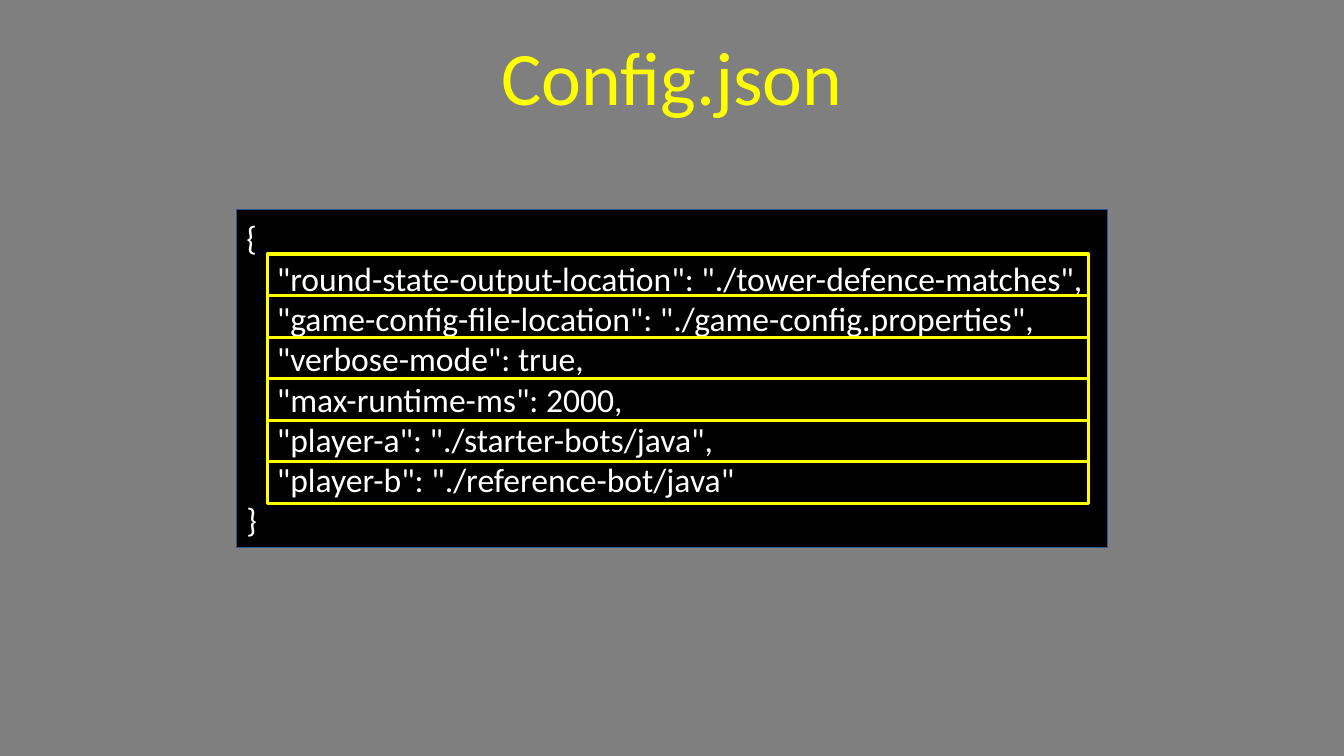
"""Build the Config.json slide with each setting framed inside a code panel."""
from dataclasses import dataclass

from pptx import Presentation
from pptx.dml.color import RGBColor
from pptx.enum.shapes import MSO_SHAPE
from pptx.enum.text import MSO_ANCHOR, MSO_AUTO_SIZE, PP_ALIGN
from pptx.shapes.autoshape import Shape
from pptx.slide import Slide
from pptx.text.text import _Paragraph as Paragraph
from pptx.util import Inches, Pt

WIDTH, HEIGHT = Inches(13.33), Inches(7.5)
FONT = "Calibri"
COLOURS = {
    "backdrop": "7F7F7F",
    "panel": "000000",
    "panel_edge": "325491",
    "code": "FFFFFF",
    "accent": "FFFF00",
}
SETTINGS = [
    '"round-state-output-location": "./tower-defence-matches",',
    '"game-config-file-location": "./game-config.properties",',
    '"verbose-mode": true,',
    '"max-runtime-ms": 2000,',
    '"player-a": "./starter-bots/java",',
    '"player-b": "./reference-bot/java"',
]
CODE_LINES = ["{", *("    " + setting for setting in SETTINGS), "}"]


@dataclass(frozen=True)
class Area:
    """Place and size as percentages of the slide."""

    left: float
    top: float
    width: float
    height: float

    def place(self, shape: Shape) -> None:
        """Move and size a shape to fill this area."""
        shape.left = round(WIDTH * self.left / 100)
        shape.top = round(HEIGHT * self.top / 100)
        shape.width = round(WIDTH * self.width / 100)
        shape.height = round(HEIGHT * self.height / 100)

    def row(self, index: int) -> "Area":
        """Return the equal area a number of rows further down."""
        return Area(self.left, self.top + index * self.height, self.width, self.height)


TITLE_AREA = Area(2.55, 4.9, 94.9, 11.7)
PANEL_AREA = Area(17.6, 27.7, 64.8, 44.7)
FIRST_SETTING_AREA = Area(19.9, 33.6, 61.1, 5.5)


def colour(name: str) -> RGBColor:
    """Look up a named colour."""
    return RGBColor.from_string(COLOURS[name])


def add_span(para: Paragraph, text: str, size: float, colour_name: str) -> None:
    """Add one formatted run to a paragraph."""
    span = para.add_run()
    span.text = text
    span.font.name = FONT
    span.font.size = Pt(size)
    span.font.color.rgb = colour(colour_name)


def add_box(page: Slide, area: Area, edge: str, weight: float, fill: str = "") -> Shape:
    """Add an outlined rectangle, hollow unless a fill is named."""
    box = page.shapes.add_shape(MSO_SHAPE.RECTANGLE, 0, 0, 0, 0)
    area.place(box)
    box.shadow.inherit = False
    box.line.color.rgb = colour(edge)
    box.line.width = Pt(weight)
    if fill:
        box.fill.solid()
        box.fill.fore_color.rgb = colour(fill)
    else:
        box.fill.background()
    return box


def add_title(page: Slide, text: str) -> None:
    """Format the title placeholder."""
    title = page.shapes.title
    TITLE_AREA.place(title)
    frame = title.text_frame
    frame.word_wrap = True
    frame.auto_size = MSO_AUTO_SIZE.NONE
    frame.vertical_anchor = MSO_ANCHOR.MIDDLE
    para = frame.paragraphs[0]
    para.alignment = PP_ALIGN.CENTER
    para.line_spacing = 0.9
    add_span(para, text, 54, "accent")


def add_code_panel(page: Slide) -> None:
    """Add the dark panel holding the code."""
    frame = add_box(page, PANEL_AREA, "panel_edge", 1, "panel").text_frame
    frame.word_wrap = True
    frame.vertical_anchor = MSO_ANCHOR.MIDDLE
    for index, line in enumerate(CODE_LINES):
        para = frame.add_paragraph() if index else frame.paragraphs[0]
        para.alignment = PP_ALIGN.LEFT
        add_span(para, line, 24, "code")


def main() -> None:
    """Build and save the deck."""
    deck = Presentation()
    deck.slide_width, deck.slide_height = WIDTH, HEIGHT
    page = deck.slides.add_slide(deck.slide_layouts.get_by_name("Title Only"))
    page.background.fill.solid()
    page.background.fill.fore_color.rgb = colour("backdrop")
    add_title(page, "Config.json")
    add_code_panel(page)
    for index in range(len(SETTINGS)):
        add_box(page, FIRST_SETTING_AREA.row(index), "accent", 2.25)
    deck.save("out.pptx")


if __name__ == "__main__":
    main()
